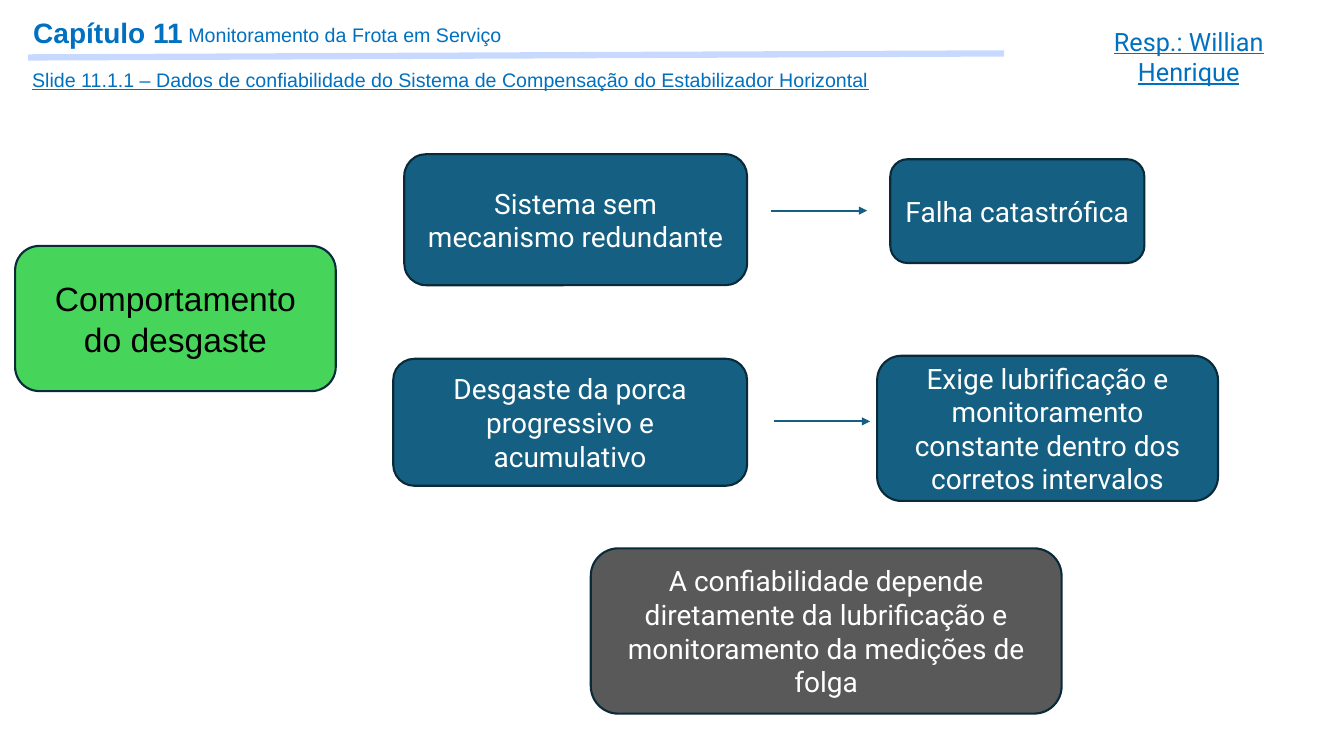
from lxml.etree import SubElement
from pptx import Presentation
from pptx.dml.color import RGBColor
from pptx.enum.shapes import MSO_CONNECTOR, MSO_SHAPE
from pptx.enum.text import MSO_ANCHOR, MSO_AUTO_SIZE, PP_ALIGN
from pptx.oxml.ns import qn
from pptx.util import Inches, Pt

THEME = {
    "heading": "0070C0", "rule": "93B5FF", "outline": "092A39",
    "topic": "47D45A", "step": "156082", "conclusion": "595959",
    "dark": "000000", "light": "FFFFFF",
    "sans": "Arial", "body": "Roboto",
    "chapter_size": 20, "subtitle_size": 14, "owner_size": 18,
    "topic_size": 24, "step_size": 20,
    "rule_width": 4.5, "line_width": 1.5,
}

# Text, (left, top, width, height), format
HEADINGS = [
    ("Capítulo 11", (0.27, 0.1, 1.76, 0.45),
     {"size": "chapter_size", "bold": True, "anchor": MSO_ANCHOR.MIDDLE, "inset": 0.06}),
    ("Monitoramento da Frota em Serviço", (1.77, 0.18, 9.48, 0.34), {}),
    ("Slide 11.1.1 – Dados de confiabilidade do Sistema de Compensação do Estabilizador Horizontal",
     (0.22, 0.62, 8.54, 0.34), {"underline": True, "wrap": False}),
    ("Resp.: Willian Henrique", (10.53, 0.21, 2.52, 0.71),
     {"size": "owner_size", "font": "body", "underline": True, "align": PP_ALIGN.CENTER}),
]
TOPIC = ("Comportamento do desgaste", (0.15, 2.44, 3.18, 1.44))
# Each cause leads to its effect
CAUSES_AND_EFFECTS = [
    (("Sistema sem mecanismo redundante", (4.01, 1.53, 3.4, 1.3)),
     ("Falha catastrófica", (8.83, 1.58, 2.52, 1.03)), (7.65, 2.09)),
    (("Desgaste da porca progressivo e acumulativo", (3.9, 3.56, 3.51, 1.26)),
     ("Exige lubrificação e monitoramento constante dentro dos corretos intervalos",
      (8.7, 3.53, 3.38, 1.44)), (7.68, 4.18)),
]
CONCLUSION = (
    "A confiabilidade depende diretamente da lubrificação e monitoramento da medições de folga",
    (5.86, 5.44, 4.67, 1.64))
RULE = ((0.28, 0.57), (9.96, 0.53))
ARROW_LENGTH = 0.95


def color(role):
    return RGBColor.from_string(THEME[role])


def write(shape, text, *, size="subtitle_size", font="sans", ink="heading", bold=False,
          underline=False, align=PP_ALIGN.LEFT, anchor=MSO_ANCHOR.TOP, wrap=True, inset=None):
    frame = shape.text_frame
    frame.word_wrap = wrap
    frame.vertical_anchor = anchor
    if inset is not None:
        frame.margin_left = frame.margin_right = Inches(inset)
        frame.margin_top = frame.margin_bottom = Inches(inset)
    paragraph = frame.paragraphs[0]
    paragraph.alignment = align
    run = paragraph.add_run()
    run.text = text
    run.font.name = THEME[font]
    run.font.size = Pt(THEME[size])
    run.font.color.rgb = color(ink)
    run.font.bold = bold
    run.font.underline = underline


def add_heading(slide, text, box, style):
    heading = slide.shapes.add_textbox(*map(Inches, box))
    write(heading, text, **style)
    heading.text_frame.auto_size = MSO_AUTO_SIZE.SHAPE_TO_FIT_TEXT


def add_card(slide, text, box, fill="step", **style):
    card = slide.shapes.add_shape(MSO_SHAPE.ROUNDED_RECTANGLE, *map(Inches, box))
    card.shadow.inherit = False
    card.fill.solid()
    card.fill.fore_color.rgb = color(fill)
    card.line.color.rgb = color("outline")
    card.line.width = Pt(THEME["line_width"])
    style = {"size": "step_size", "font": "body", "ink": "light"} | style
    write(card, text, align=PP_ALIGN.CENTER, anchor=MSO_ANCHOR.MIDDLE, **style)


def add_line(slide, start, end, ink, width):
    line = slide.shapes.add_connector(MSO_CONNECTOR.STRAIGHT, *map(Inches, start + end))
    line.line.color.rgb = color(ink)
    line.line.width = Pt(THEME[width])
    properties = line._element.spPr
    SubElement(properties, qn("a:effectLst"))
    return properties.find(qn("a:ln"))


def add_rule(slide):
    """Half-transparent line under the chapter heading."""
    outline = add_line(slide, *RULE, "rule", "rule_width")
    SubElement(outline.find(".//" + qn("a:srgbClr")), qn("a:alpha"), val="50000")


def add_arrow(slide, start):
    left, top = start
    outline = add_line(slide, start, (left + ARROW_LENGTH, top), "step", "line_width")
    SubElement(outline, qn("a:tailEnd"), type="triangle")


def main():
    presentation = Presentation()
    presentation.slide_width = Inches(13.33)
    presentation.slide_height = Inches(7.5)
    slide = presentation.slides.add_slide(presentation.slide_layouts[6])

    add_rule(slide)
    for heading in HEADINGS:
        add_heading(slide, *heading)
    add_card(slide, *TOPIC, fill="topic", size="topic_size", font="sans", ink="dark")
    for cause, effect, arrow_start in CAUSES_AND_EFFECTS:
        add_card(slide, *cause)
        add_arrow(slide, arrow_start)
        add_card(slide, *effect)
    add_card(slide, *CONCLUSION, fill="conclusion")

    presentation.save("out.pptx")


if __name__ == "__main__":
    main()
